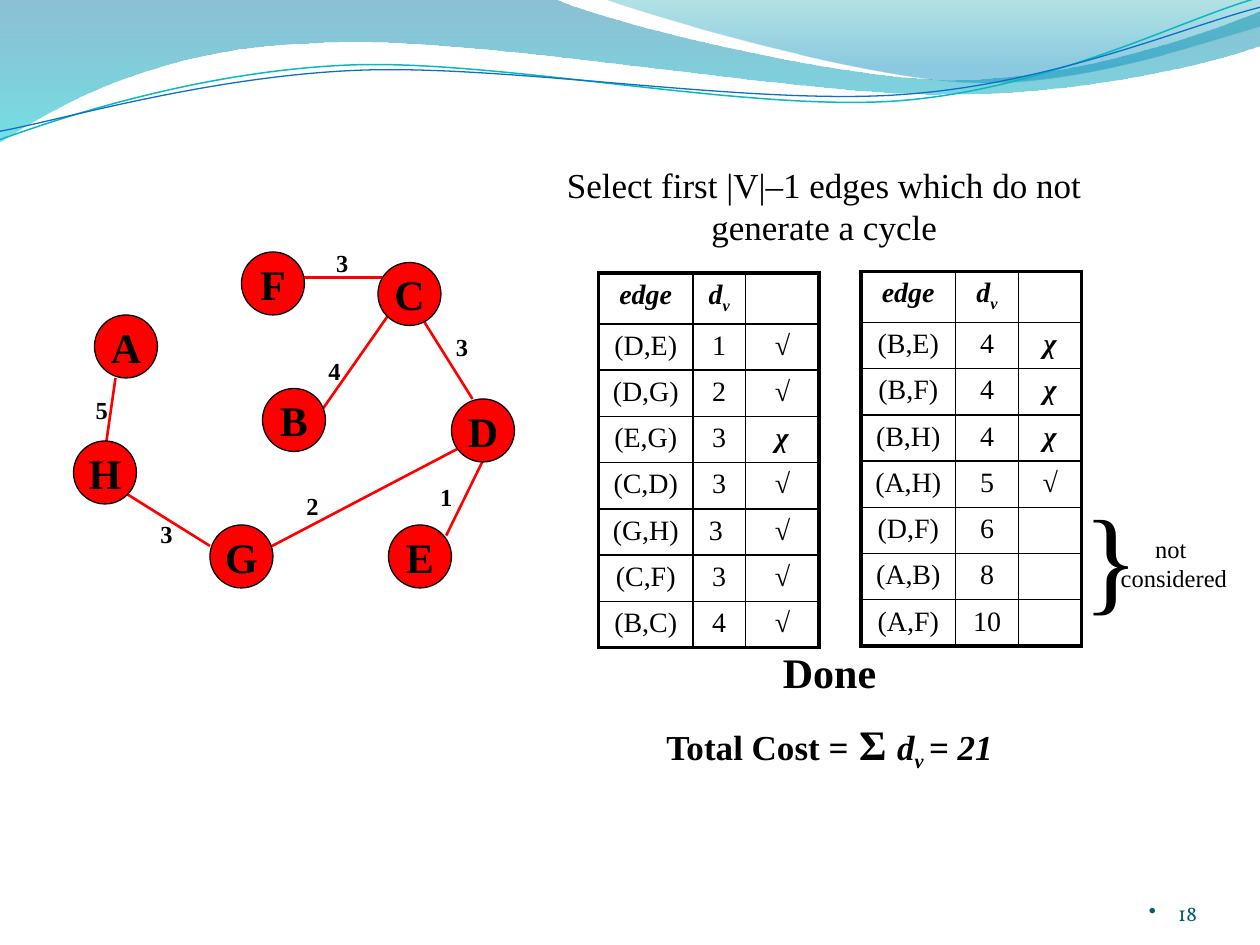
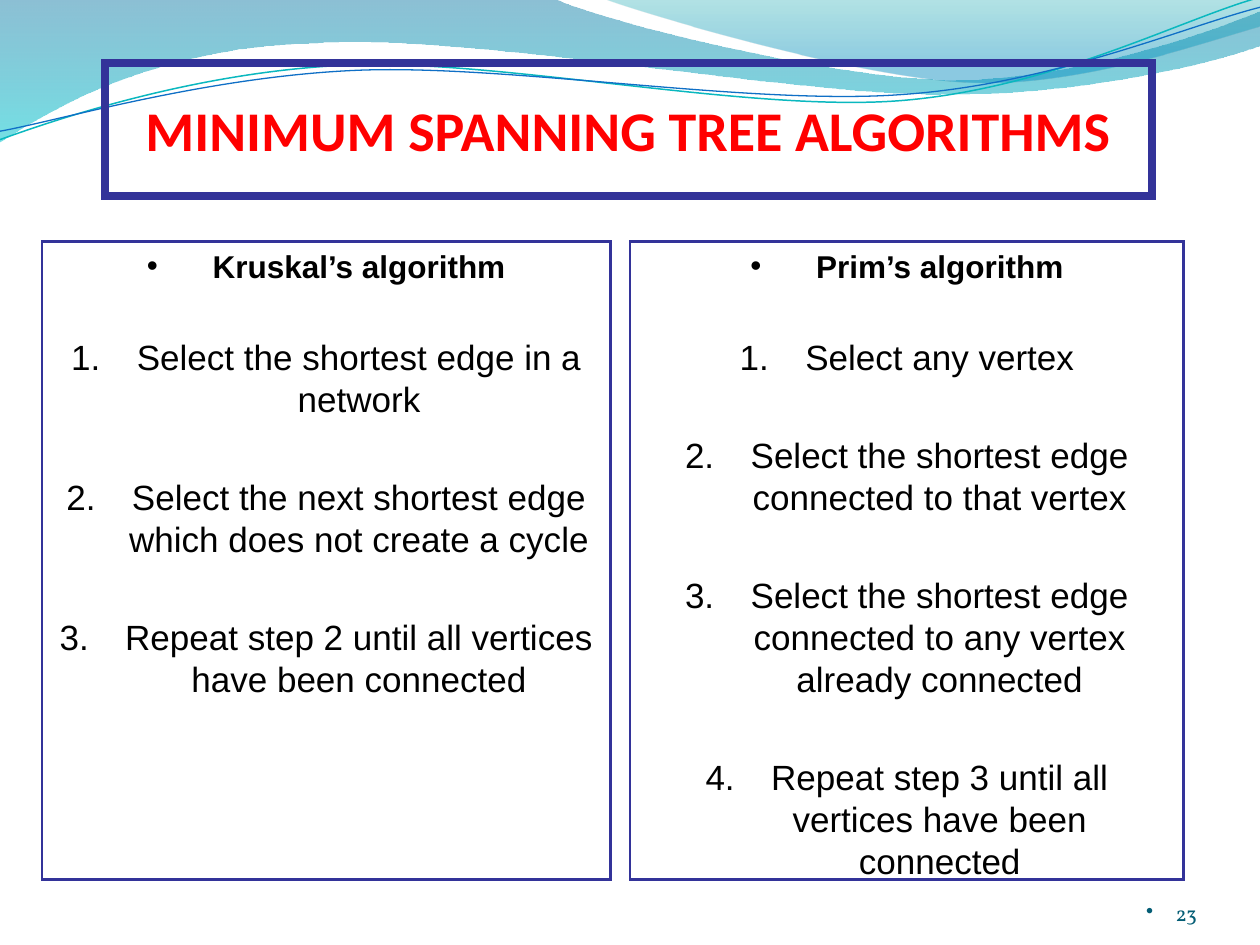
from lxml.etree import SubElement
from pptx import Presentation
from pptx.dml.color import RGBColor
from pptx.enum.shapes import MSO_CONNECTOR, MSO_SHAPE
from pptx.enum.text import MSO_ANCHOR, PP_ALIGN
from pptx.oxml.ns import qn
from pptx.util import Emu, Inches, Pt

BLACK = RGBColor(0x00, 0x00, 0x00)
RED = RGBColor(0xFF, 0x00, 0x00)
INDIGO = RGBColor(0x33, 0x33, 0x99)
PAGE_TEAL = RGBColor(0x04, 0x5D, 0x75)
DEEP_BLUE = RGBColor(0x00, 0x74, 0xA1)
TURQUOISE = RGBColor(0x00, 0xC6, 0xCF)
SEA_GREEN = RGBColor(0x00, 0xA1, 0xA9)
SKY_BLUE = RGBColor(0x00, 0x8B, 0xBF)
LINE_TEAL = RGBColor(0x0A, 0xB8, 0xBF)
LINE_BLUE = RGBColor(0x0F, 0x6F, 0xC6)
SERIF = "Times New Roman"

presentation = Presentation()
presentation.slide_width = Inches(10)
presentation.slide_height = Inches(7.5)
COLUMN = presentation.slide_width // 120


def grid(*values):
    return [Emu(round(value * COLUMN)) for value in values]


def style(paragraph, size, font=SERIF, color=BLACK, bold=False, italic=False,
          alignment=PP_ALIGN.CENTER):
    paragraph.alignment = alignment
    for run in paragraph.runs:
        run.font.size = Pt(size)
        run.font.name = font
        run.font.color.rgb = color
        run.font.bold = bold
        run.font.italic = italic


graph_slide, summary_slide = slides = [
    presentation.slides.add_slide(presentation.slide_layouts[6]) for _ in range(2)]

bands = [
    ((0, 0),
     [[(52.8, -0.1)],
      [(57.1, 2), (79.7, 7.6), (91, 7.6)],
      [(102.4, 7.6), (115, 3.1), (120, 1.1)],
      [(120.1, 4.3)],
      [(118, 5.3), (104.4, 9.1), (89.5, 9)],
      [(74.6, 9), (45.8, 3.4), (30.8, 4.1)],
      [(15.5, 4.3), (5.5, 10), (-0.1, 13.6)]],
     [(0, DEEP_BLUE, 45), (1, TURQUOISE, 55)]),
    ((57.5, -0.1),
     [[(61.1, 1.3), (81.8, 7.4), (92.3, 7.8)],
      [(102.7, 8.3), (115.3, 3.8), (120, 2.5)],
      [(120, 0)]],
     [(0, SEA_GREEN, 30), (0.8, SKY_BLUE, 45)]),
]
waves = [
    ((0, 13.3),
     [[(5.8, 11.2), (19, 6.8), (33.2, 6.2)],
      [(47.4, 5.6), (71.2, 10.7), (85.6, 9.6)],
      [(100, 8.5), (112.6, 1.8), (119.8, -0.2)]],
     LINE_TEAL, 0.85),
    ((0, 12.5),
     [[(5.6, 11.5), (19.7, 7.3), (34, 6.7)],
      [(48.4, 6.1), (71.6, 10.1), (86, 9)],
      [(100.3, 8), (112.9, 2.5), (120, 0.7)]],
     LINE_BLUE, 0.75),
]
decorations = [(start, segments, stops, None, 0) for start, segments, stops in bands]
decorations += [(start, segments, None, color, width)
                for start, segments, color, width in waves]
master_tree = presentation.slide_master.shapes._spTree
for layer, (start, segments, stops, color, width) in enumerate(decorations):
    builder = graph_slide.shapes.build_freeform(*grid(*start))
    builder.add_line_segments([grid(*segment[-1]) for segment in segments],
                              close=stops is not None)
    shape = builder.convert_to_shape()
    for line, segment in zip(list(shape._element.iter(qn("a:lnTo"))), segments):
        if len(segment) == 3:
            line.tag = qn("a:cubicBezTo")
            line.remove(line[0])
            for point in segment:
                x, y = grid(*point)
                SubElement(line, qn("a:pt"), x=str(x - shape.left), y=str(y - shape.top))
    shape.shadow.inherit = False
    if stops:
        shape.fill.gradient()
        shape.fill.gradient_angle = 270
        for stop, (position, stop_color, _) in zip(shape.fill.gradient_stops, stops):
            stop.position = position
            stop.color.rgb = stop_color
        colors = list(shape._element.iter(qn("a:srgbClr")))
        for element, (_, _, opacity) in zip(colors, stops):
            SubElement(element, qn("a:alpha"), val=str(opacity * 1000))
        shape.line.fill.background()
    else:
        shape.fill.background()
        shape.line.color.rgb = color
        shape.line.width = Pt(width)
    master_tree.insert(2 + layer, shape._element)

hanging = []
for slide, number in zip(slides, ("18", "23")):
    frame = slide.shapes.add_textbox(*grid(104, 83.4, 10, 4.8)).text_frame
    frame.word_wrap = True
    frame.vertical_anchor = MSO_ANCHOR.BOTTOM
    frame.margin_left = frame.margin_right = frame.margin_top = frame.margin_bottom = 0
    frame.text = number
    style(frame.paragraphs[0], 12, "Vollkorn", PAGE_TEAL, alignment=PP_ALIGN.RIGHT)
    hanging.append((frame.paragraphs[0], 2.8, "a:buChar", {"char": "•"}))

subscripts = []

edges = [(47.4, 41, 42.5, 51), (30, 40, 37, 30), (24, 53, 45, 42), (10, 43, 11, 36),
         (28.5, 26.4, 36.6, 26.4), (40, 30, 45, 38), (20, 52, 12, 47)]
for ends in edges:
    connector = graph_slide.shapes.add_connector(MSO_CONNECTOR.STRAIGHT, *grid(*ends))
    connector.line.color.rgb = RED
    connector.line.width = Pt(1.5)
    SubElement(connector._element.spPr, qn("a:effectLst"))

nodes = {"A": (9, 30), "H": (7, 42), "B": (25, 37), "F": (23, 24),
         "E": (37, 50), "D": (43, 38), "C": (36, 25), "G": (20, 50)}
for name, corner in nodes.items():
    node = graph_slide.shapes.add_shape(MSO_SHAPE.OVAL, *grid(*corner, 6, 6))
    node.shadow.inherit = False
    node.fill.solid()
    node.fill.fore_color.rgb = RED
    node.line.color.rgb = BLACK
    node.line.width = Pt(0.75)
    node.text_frame.word_wrap = False
    node.text_frame.vertical_anchor = MSO_ANCHOR.MIDDLE
    node.text_frame.text = name
    style(node.text_frame.paragraphs[0], 24, bold=True)

weights = [("5", 7.7, 37), ("1", 40.5, 45.3), ("2", 27.75, 46.2), ("3", 42, 31),
           ("3", 30.6, 23), ("3", 13.85, 48.8), ("4", 29.85, 33.3)]
notes = [((x, y, 4, 4), text, 14, True) for text, x, y in weights]
notes += [
    ((52, 15, 53, 9.2), "Select first |V|–1 edges which do not generate a cycle", 20, False),
    ((60, 61, 38, 19.2), "Done", 24, True),
    ((102, 45.6, 6, 14.4), "}", 66, False),
    ((105.3, 50.25, 13, 6.8), "not \nconsidered", 14, False),
]
for place, text, size, bold in notes:
    frame = graph_slide.shapes.add_textbox(*grid(*place)).text_frame
    frame.word_wrap = True
    frame.text = text
    for paragraph in frame.paragraphs:
        style(paragraph, size, bold=bold)
    if text == "Done":
        total = frame.add_paragraph()
        for part in ("Total Cost =", " Σ ", "d", "v ", "= 21"):
            total.add_run().text = part
        style(total, 20, bold=True)
        total.space_before = Pt(12)
        total.runs[1].font.size = Pt(24)
        for run in total.runs[2:]:
            run.font.italic = True
        subscripts.append(total.runs[3])

YES, NO = "√", "χ"
edge_tables = [
    ((57, 26), (9, 5, 7),
     [("(D,E)", "1", YES), ("(D,G)", "2", YES), ("(E,G)", "3", NO), ("(C,D)", "3", YES),
      ("(G,H)", "3 ", YES), ("(C,F)", "3", YES), ("(B,C)", "4", YES)]),
    ((82, 25.85), (9, 6, 6),
     [("(B,E)", "4", NO), ("(B,F)", "4", NO), ("(B,H)", "4", NO), ("(A,H)", "5", YES),
      ("(D,F)", "6", ""), ("(A,B)", "8", ""), ("(A,F)", "10", "")]),
]
for corner, widths, records in edge_tables:
    rows = [("edge", "d", "")] + records
    heights = [4.85] + [4.4] * len(records)
    table = graph_slide.shapes.add_table(
        len(rows), len(widths), *grid(*corner, sum(widths), sum(heights))).table
    table.first_row = table.horz_banding = False
    for column, width in zip(table.columns, grid(*widths)):
        column.width = width
    for i, (row, height, values) in enumerate(zip(table.rows, grid(*heights), rows)):
        row.height = height
        for j, (cell, value) in enumerate(zip(row.cells, values)):
            paragraph = cell.text_frame.paragraphs[0]
            if value:
                paragraph.text = value
            if value == "d":
                paragraph.add_run().text = "v"
                subscripts.append(paragraph.runs[1])
            emphasis = i == 0 or j == 2
            style(paragraph, 16, bold=emphasis, italic=emphasis)
            SubElement(paragraph._p, qn("a:endParaRPr"), sz="1600")
            outer = {"L": j == 0, "R": j == len(widths) - 1,
                     "T": i == 0, "B": i == len(rows) - 1}
            properties = cell._tc.get_or_add_tcPr()
            for side, is_outer in outer.items():
                border = SubElement(properties, qn("a:ln" + side),
                                    w=str(Pt(2.25 if is_outer else 1)))
                fill = SubElement(border, qn("a:solidFill"))
                SubElement(fill, qn("a:srgbClr"), val=str(BLACK))
            cell.fill.background()

for run in subscripts:
    run._r.get_or_add_rPr().set("baseline", "-25000")

frames = [
    ((10, 6, 99.7, 12.65), 4.5, ["MINIMUM SPANNING TREE ALGORITHMS"]),
    ((4, 23, 54.15, 60.75), 1.5,
     ["Kruskal’s algorithm",
      "Select the shortest edge in a network",
      "Select the next shortest edge which does not create a cycle",
      "Repeat step 2 until all vertices have been connected"]),
    ((60, 23, 52.75, 60.75), 1.5,
     ["Prim’s algorithm",
      "Select any vertex",
      "Select the shortest edge connected to that vertex",
      "Select the shortest edge connected to any vertex already connected",
      "Repeat step 3 until all vertices have been connected"]),
]
for place, width, lines in frames:
    panel = summary_slide.shapes.add_shape(MSO_SHAPE.RECTANGLE, *grid(*place))
    panel.shadow.inherit = False
    panel.fill.background()
    panel.line.color.rgb = INDIGO
    panel.line.width = Pt(width)
    SubElement(panel._element.spPr.find(qn("a:ln")), qn("a:miter"), lim="800000")
    frame = panel.text_frame
    frame.word_wrap = True
    frame.text = "\n".join(lines)
    heading, *steps = frame.paragraphs
    if not steps:
        frame.vertical_anchor = MSO_ANCHOR.MIDDLE
        style(heading, 32, "Calibri", RED, bold=True)
        continue
    frame.vertical_anchor = MSO_ANCHOR.TOP
    frame.margin_top, frame.margin_bottom = grid(0.5, 0.5)
    style(heading, 18, "Arial", bold=True)
    SubElement(heading._p.get_or_add_pPr(), qn("a:buFont"), typeface="Arial")
    hanging.append((heading, 6.25, "a:buChar", {"char": "•"}))
    for i, step in enumerate(steps):
        style(step, 20, "Arial")
        step.space_before = Pt(32 if i else 29)
        hanging.append((step, 6.25, "a:buAutoNum", {"type": "arabicPeriod"}))

for paragraph, indent, tag, attributes in hanging:
    properties = paragraph._p.get_or_add_pPr()
    margin = grid(indent)[0]
    properties.set("marL", str(margin))
    properties.set("indent", str(-margin))
    SubElement(properties, qn(tag), attributes)

presentation.save("out.pptx")
